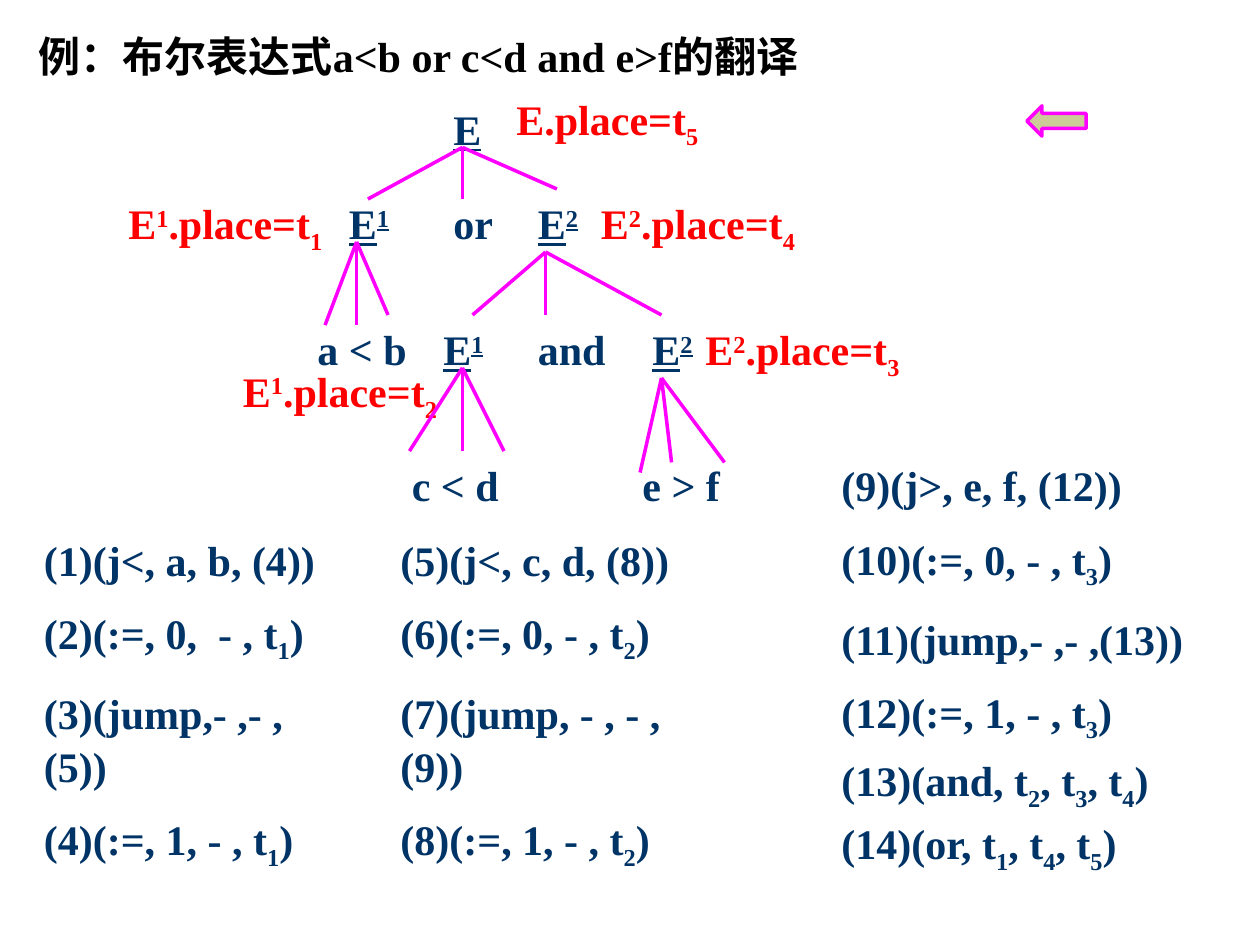
from pptx import Presentation
from pptx.dml.color import RGBColor
from pptx.enum.shapes import MSO_CONNECTOR, MSO_SHAPE
from pptx.enum.text import MSO_AUTO_SIZE
from pptx.oxml.ns import qn
from pptx.util import Inches, Pt
from lxml import etree

BLACK = RGBColor(0x00, 0x00, 0x00)
RED = RGBColor(0xFF, 0x00, 0x00)
NAVY = RGBColor(0x00, 0x33, 0x66)
MAGENTA = RGBColor(0xFF, 0x00, 0xFF)
SAND = RGBColor(0xCC, 0xCC, 0x99)
BASELINES = {"^": "30000", "_": "-25000"}


def add_text(shapes, left, top, width, lines, color, underline=None, wrap=True):
    height = 0.5 + 0.6 * (len(lines) - 1)
    box = shapes.add_textbox(Inches(left), Inches(top), Inches(width), Inches(height))
    frame = box.text_frame
    frame.word_wrap = wrap
    frame.auto_size = MSO_AUTO_SIZE.SHAPE_TO_FIT_TEXT
    for index, line in enumerate(lines):
        para = frame.add_paragraph() if index else frame.paragraphs[0]
        para.line_spacing = 1.05
        if index:
            para.space_before = Pt(11.5)
        for piece in line.split("|"):
            span = para.add_run()
            span.text = piece.lstrip("^_")
            span.font.name = "Times New Roman"
            span.font.size = Pt(24)
            span.font.bold = True
            span.font.underline = underline
            span.font.color.rgb = color
            if piece[0] in BASELINES:
                span._r.get_or_add_rPr().set("baseline", BASELINES[piece[0]])


deck = Presentation()
deck.slide_width = Inches(10)
deck.slide_height = Inches(7.5)
page = deck.slides.add_slide(deck.slide_layouts[6])

add_text(page.shapes, 0.21, 0.17, 8.7, ["例：布尔表达式a<b or c<d and e>f的翻译"], BLACK)

places = [
    (4, 0.67, 1.75, "E.place=t|_5"),
    (0.92, 1.5, 1.83, "E|^1|.place=t|_1"),
    (4.67, 1.5, 1.92, "E|^2|.place=t|_4"),
    (5.5, 2.5, 1.92, "E|^2|.place=t|_3"),
    (1.83, 2.83, 2, "E|^1|.place=t|_2"),
]
for left, top, width, label in places:
    add_text(page.shapes, left, top, width, [label], RED)

tree = page.shapes.add_group_shape()
nodes = [
    (3.5, 0.75, 0.42, "E"),
    (2.67, 1.5, 0.58, "E|^1"),
    (4.17, 1.5, 0.58, "E|^2"),
    (3.42, 2.5, 0.58, "E|^1"),
    (5.08, 2.5, 0.58, "E|^2"),
]
for left, top, width, label in nodes:
    add_text(tree.shapes, left, top, width, [label], NAVY, underline=True)

leaves = [
    (3.5, 1.5, 0.58, "or"),
    (4.17, 2.5, 0.75, "and"),
    (2.42, 2.5, 0.92, "a < b"),
    (3.17, 3.58, 1, "c < d"),
    (5, 3.58, 0.92, "e > f"),
]
for left, top, width, label in leaves:
    add_text(tree.shapes, left, top, width, [label], NAVY)

branches = {
    (3.67, 1.17): [(2.92, 1.58), (3.67, 1.58), (4.42, 1.5)],
    (2.83, 1.92): [(2.58, 2.58), (2.83, 2.58), (3.08, 2.5)],
    (4.33, 2): [(3.75, 2.5), (4.33, 2.5), (5.25, 2.5)],
    (3.67, 2.92): [(3.25, 3.58), (3.67, 3.58), (4, 3.58)],
    (5.25, 3): [(5.08, 3.75), (5.33, 3.67), (5.75, 3.67)],
}
for (start_x, start_y), ends in branches.items():
    for end_x, end_y in ends:
        branch = tree.shapes.add_connector(
            MSO_CONNECTOR.STRAIGHT,
            Inches(start_x), Inches(start_y), Inches(end_x), Inches(end_y))
        branch.line.color.rgb = MAGENTA
        branch.line.width = Pt(2)
        etree.SubElement(branch._element.spPr, qn("a:effectLst"))

quadruples = [
    (0.25, 4.17, 2.58, True, [
        "(1)(j<, a, b, (4))", "(2)(:=, 0,  - , t|_1|)",
        "(3)(jump,- ,- ,(5))", "(4)(:=, 1, - , t|_1|)"]),
    (3.08, 4.17, 2.67, True, [
        "(5)(j<, c, d, (8))", "(6)(:=, 0, - , t|_2|)",
        "(7)(jump, - , - ,(9))", "(8)(:=, 1, - , t|_2|)"]),
    (6.58, 3.58, 2.92, True, [
        "(9)(j>, e, f, (12))", "(10)(:=, 0, - , t|_3|)",
        "(11)(jump,- ,- ,(13))", "(12)(:=, 1, - , t|_3|)"]),
    (6.58, 5.92, 3.25, True, ["(13)(and, t|_2|, t|_3|, t|_4|)"]),
    (6.58, 6.42, 2.46, False, ["(14)(or, t|_1|, t|_4|, t|_5|)"]),
]
for left, top, width, wrap, lines in quadruples:
    add_text(page.shapes, left, top, width, lines, NAVY, wrap=wrap)

arrow = page.shapes.add_shape(
    MSO_SHAPE.LEFT_ARROW, Inches(8.15), Inches(0.84), Inches(0.47), Inches(0.24))
arrow.shadow.inherit = False
arrow.fill.solid()
arrow.fill.fore_color.rgb = SAND
arrow.line.color.rgb = MAGENTA
arrow.line.width = Pt(2)

deck.save("out.pptx")
